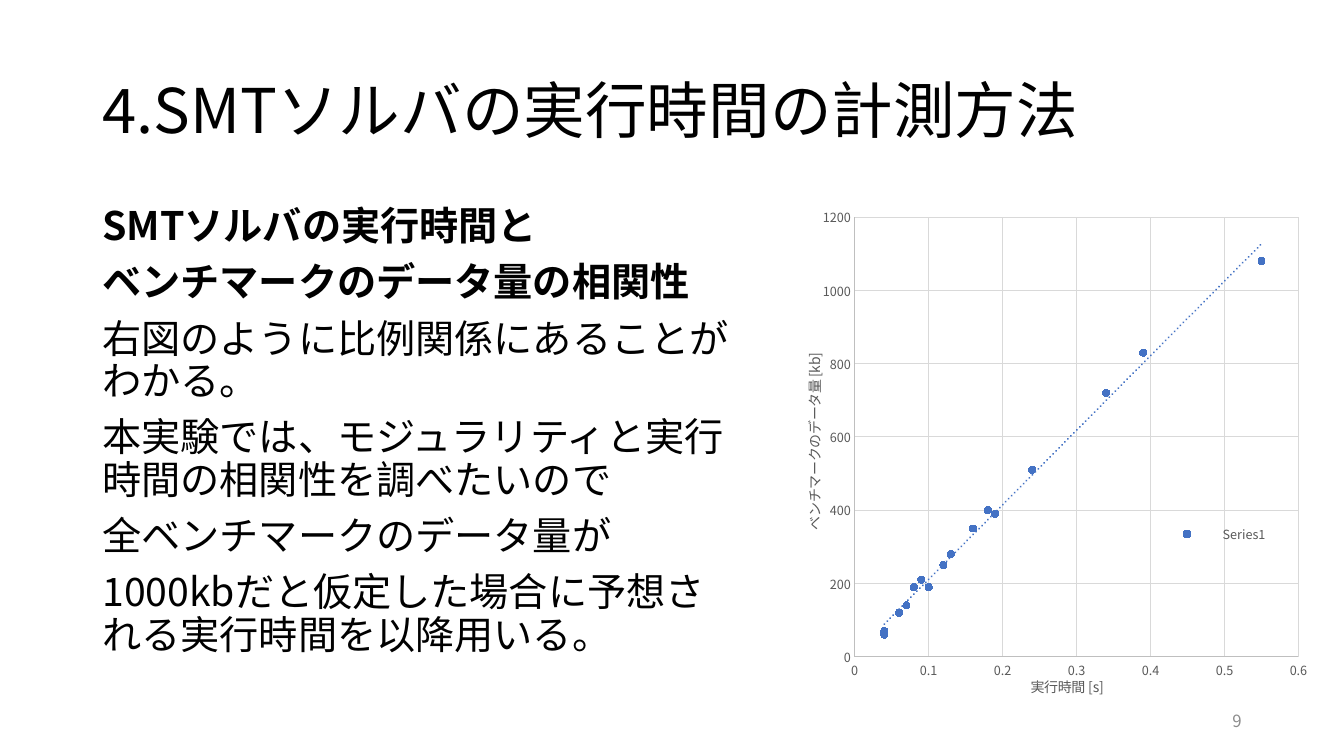
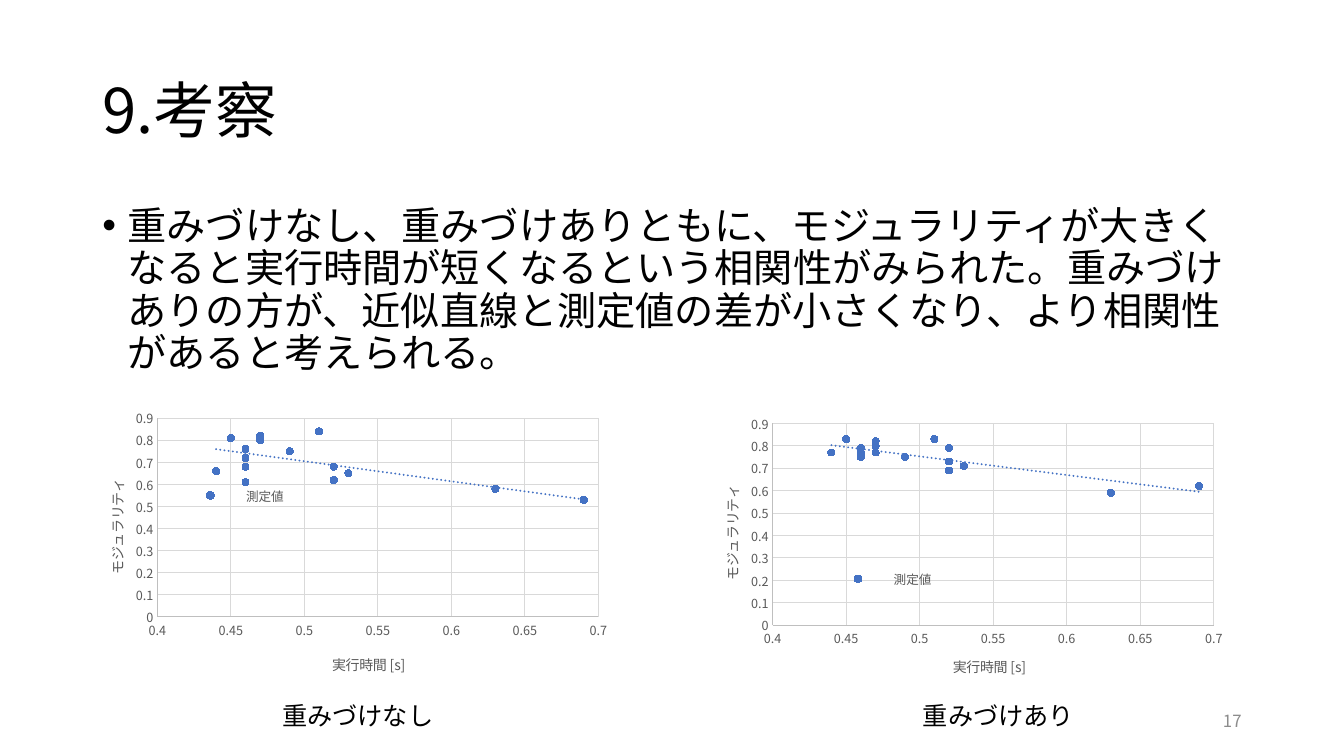
from lxml.etree import SubElement
from pptx import Presentation
from pptx.chart.data import XyChartData
from pptx.dml.color import RGBColor
from pptx.enum.chart import XL_CHART_TYPE, XL_LEGEND_POSITION, XL_MARKER_STYLE, XL_TICK_MARK
from pptx.enum.text import MSO_ANCHOR, PP_ALIGN
from pptx.oxml import parse_xml
from pptx.oxml.ns import nsdecls, qn
from pptx.util import Cm, Pt

FONT = "Noto Sans CJK JP"
BLACK = "000000"
DARK_GRAY = "595959"
PAGE_GRAY = "8C8C8C"
AXIS_GRAY = "BFBFBF"
GRID_GRAY = "D9D9D9"
BLUE = "4472C4"

MARGIN = 2.33
CONTENT_WIDTH = 29.21
BODY_TOP = 5.08
TIME_LABEL = "実行時間 [s]"

BENCHMARK_POINTS = [
    (0.04, 60), (0.06, 120), (0.08, 190), (0.1, 190), (0.18, 400), (0.04, 70),
    (0.07, 140), (0.09, 210), (0.13, 280), (0.16, 350), (0.07, 140), (0.12, 250),
    (0.19, 390), (0.24, 510), (0.34, 720), (0.39, 830), (0.55, 1080),
]
SOLVER_TIMES = [0.69, 0.52, 0.44, 0.52, 0.45, 0.63, 0.53, 0.46, 0.46,
                0.46, 0.52, 0.46, 0.49, 0.47, 0.47, 0.47, 0.51]
UNWEIGHTED = [0.53, 0.62, 0.66, 0.68, 0.81, 0.58, 0.65, 0.68, 0.76,
              0.61, 0.62, 0.72, 0.75, 0.8, 0.81, 0.82, 0.84]
WEIGHTED = [0.62, 0.73, 0.77, 0.79, 0.83, 0.59, 0.71, 0.75, 0.77,
            0.79, 0.69, 0.75, 0.75, 0.77, 0.8, 0.82, 0.83]


def rgb(value):
    return RGBColor.from_string(value)


def set_font(font, size, color, bold=False):
    font.name = FONT
    font.size = Pt(size)
    font.bold = bold
    font.color.rgb = rgb(color)


def add_text(paragraph, text, size=18, color=BLACK, bold=False):
    run = paragraph.add_run()
    run.text = text
    set_font(run.font, size, color, bold)


def add_east_asian_fonts(element):
    for latin in list(element.iter(qn("a:latin"))):
        latin.addnext(parse_xml(f'<a:ea {nsdecls("a")} typeface="{FONT}"/>'))


def add_text_box(slide, box, lines, anchor=MSO_ANCHOR.TOP, align=None, wrap=True,
                 line_spacing=None, space_before=None, bullet=False, bold_lines=0, **text_format):
    shape = slide.shapes.add_textbox(*map(Cm, box))
    frame = shape.text_frame
    frame.word_wrap = wrap
    frame.vertical_anchor = anchor
    for index, line in enumerate(lines):
        paragraph = frame.add_paragraph() if index else frame.paragraphs[0]
        paragraph.alignment = align
        paragraph.line_spacing = line_spacing
        paragraph.space_before = space_before
        add_text(paragraph, line, bold=index < bold_lines, **text_format)
        if bullet:
            add_bullet(paragraph)
    add_east_asian_fonts(shape.element)


def add_bullet(paragraph):
    properties = paragraph._p.get_or_add_pPr()
    properties.set("marL", str(Cm(0.64)))
    properties.set("indent", str(-Cm(0.64)))
    SubElement(properties, qn("a:buFont"), typeface="Arial")
    SubElement(properties, qn("a:buChar"), char="•")


def add_body(slide, width, lines, **options):
    add_text_box(slide, (MARGIN, BODY_TOP, width, 12.09), lines, size=28,
                 line_spacing=0.9, space_before=Pt(10), **options)


def add_caption(slide, left, text):
    add_text_box(slide, (left, 17.53, 4.37, 1.02), [text], wrap=False)


def add_slide(presentation, title, number):
    slide = presentation.slides.add_slide(presentation.slide_layouts[6])
    add_text_box(slide, (MARGIN, 1.01, CONTENT_WIDTH, 3.68), [title], size=44,
                 anchor=MSO_ANCHOR.MIDDLE, line_spacing=0.9)
    add_text_box(slide, (23.92, 17.65, 7.62, 1.02), [number], size=12, color=PAGE_GRAY,
                 anchor=MSO_ANCHOR.MIDDLE, align=PP_ALIGN.RIGHT)
    return slide


def set_layout(parent, position, index, target=None):
    for previous in parent.findall(qn("c:layout")):
        parent.remove(previous)
    layout = parse_xml(f'<c:layout {nsdecls("c")}/>')
    manual = SubElement(layout, qn("c:manualLayout"))
    if target:
        SubElement(manual, qn("c:layoutTarget"), val=target)
    for name in ("xMode", "yMode"):
        SubElement(manual, qn(f"c:{name}"), val="edge")
    for name, value in zip("xywh", position):
        SubElement(manual, qn(f"c:{name}"), val=str(value))
    parent.insert(index, layout)


def style_axis(axis, title, scale):
    axis.minimum_scale, axis.maximum_scale, axis.major_unit = scale
    axis.major_tick_mark = axis.minor_tick_mark = XL_TICK_MARK.NONE
    axis.tick_labels.number_format = "General"
    axis.tick_labels.number_format_is_linked = False
    set_font(axis.tick_labels.font, 9, DARK_GRAY)
    axis.has_major_gridlines = True
    for line, color in ((axis.format.line, AXIS_GRAY),
                        (axis.major_gridlines.format.line, GRID_GRAY)):
        line.color.rgb = rgb(color)
        line.width = Pt(0.75)
    add_text(axis.axis_title.text_frame.paragraphs[0], title, size=10, color=DARK_GRAY)


def add_trend_line(series_element):
    series_element.find(qn("c:xVal")).addprevious(parse_xml(
        f'<c:trendline {nsdecls("c", "a")}><c:spPr><a:ln w="{Pt(1.5)}" cap="rnd">'
        f'<a:solidFill><a:srgbClr val="{BLUE}"/></a:solidFill><a:prstDash val="sysDot"/>'
        '</a:ln></c:spPr><c:trendlineType val="linear"/><c:dispRSqr val="0"/>'
        '<c:dispEq val="0"/></c:trendline>'))


def style_series(series):
    series.format.line.fill.background()
    series.marker.style = XL_MARKER_STYLE.CIRCLE
    series.marker.size = 5
    series.marker.format.fill.solid()
    series.marker.format.fill.fore_color.rgb = rgb(BLUE)
    series.marker.format.line.color.rgb = rgb(BLUE)


def add_legend(chart, position):
    chart.has_legend = True
    chart.legend.position = XL_LEGEND_POSITION.RIGHT
    chart.legend.include_in_layout = False
    set_font(chart.legend.font, 9, DARK_GRAY)
    legend = chart.element.find(".//" + qn("c:legend"))
    set_layout(legend, position, 1)
    legend.insert(1, parse_xml(f'<c:legendEntry {nsdecls("c")}><c:idx val="1"/>'
                               '<c:delete val="1"/></c:legendEntry>'))


def add_scatter(slide, box, name, points, x_scale, y_scale, y_title,
                plot_area, x_title_at, y_title_at, legend_at):
    data = XyChartData()
    series_data = data.add_series(name)
    for x, y in points:
        series_data.add_data_point(x, y)
    chart = slide.shapes.add_chart(XL_CHART_TYPE.XY_SCATTER, *map(Cm, box), data).chart
    chart.has_title = False
    set_font(chart.font, 10, BLACK)
    plot = chart.plots[0]
    plot.vary_by_categories = False
    style_series(plot.series[0])
    style_axis(chart.category_axis, TIME_LABEL, x_scale)
    style_axis(chart.value_axis, y_title, y_scale)
    add_legend(chart, legend_at)

    plot_element = chart.element.find(".//" + qn("c:plotArea"))
    add_trend_line(plot_element.find(".//" + qn("c:ser")))
    set_layout(plot_element, plot_area, 0, target="inner")
    x_title_element, y_title_element = plot_element.iter(qn("c:title"))
    set_layout(x_title_element, x_title_at, 1)
    set_layout(y_title_element, y_title_at, 1)
    y_body = y_title_element.find(".//" + qn("a:bodyPr"))
    y_body.set("rot", "-5400000")
    y_body.set("vert", "horz")
    add_east_asian_fonts(chart.element)


def add_modularity_scatter(slide, left, values, **layout):
    add_scatter(slide, (left, 10.19, 13.56, 6.96), "測定値", zip(SOLVER_TIMES, values),
                (0.4, 0.7, 0.05), (0, 0.9, 0.1), "モジュラリティ", **layout)


def build_method_slide(presentation):
    slide = add_slide(presentation, "4.SMTソルバの実行時間の計測方法", "9")
    add_body(slide, 16.61, [
        "SMTソルバの実行時間と",
        "ベンチマークのデータ量の相関性",
        "右図のように比例関係にあることがわかる。",
        "本実験では、モジュラリティと実行時間の相関性を調べたいので",
        "全ベンチマークのデータ量が",
        "1000kbだと仮定した場合に予想される実行時間を以降用いる。",
    ], bold_lines=2)
    add_scatter(slide, (20.04, 4.7, 13.64, 12.95), "Series1", BENCHMARK_POINTS,
                (0, 0.6, 0.1), (0, 1200, 200), "ベンチマークのデータ量 [kb]",
                plot_area=(0.11, 0.06, 0.82, 0.86), x_title_at=(0.43, 0.95),
                y_title_at=(0.01, 0.32), legend_at=(0.65, 0.65, 0.25, 0.06))


def build_discussion_slide(presentation):
    slide = add_slide(presentation, "9.考察", "17")
    add_body(slide, CONTENT_WIDTH, [
        "重みづけなし、重みづけありともに、モジュラリティが大きくなると実行時間が短くなるという相関性がみられた。"
        "重みづけありの方が、近似直線と測定値の差が小さくなり、より相関性があると考えられる。",
    ], bullet=True)
    add_modularity_scatter(slide, 1.93, UNWEIGHTED, plot_area=(0.15, 0.05, 0.82, 0.72),
                           x_title_at=(0.47, 0.89), y_title_at=(0.05, 0.26),
                           legend_at=(0.18, 0.28, 0.25, 0.1))
    add_modularity_scatter(slide, 17.98, WEIGHTED, plot_area=(0.11, 0.07, 0.82, 0.74),
                           x_title_at=(0.44, 0.91), y_title_at=(0.01, 0.29),
                           legend_at=(0.2, 0.59, 0.25, 0.1))
    add_caption(slide, 6.86, "重みづけなし")
    add_caption(slide, 23.01, "重みづけあり")


def main():
    presentation = Presentation()
    presentation.slide_width = Cm(33.87)
    presentation.slide_height = Cm(19.05)
    build_method_slide(presentation)
    build_discussion_slide(presentation)
    presentation.save("out.pptx")


if __name__ == "__main__":
    main()
